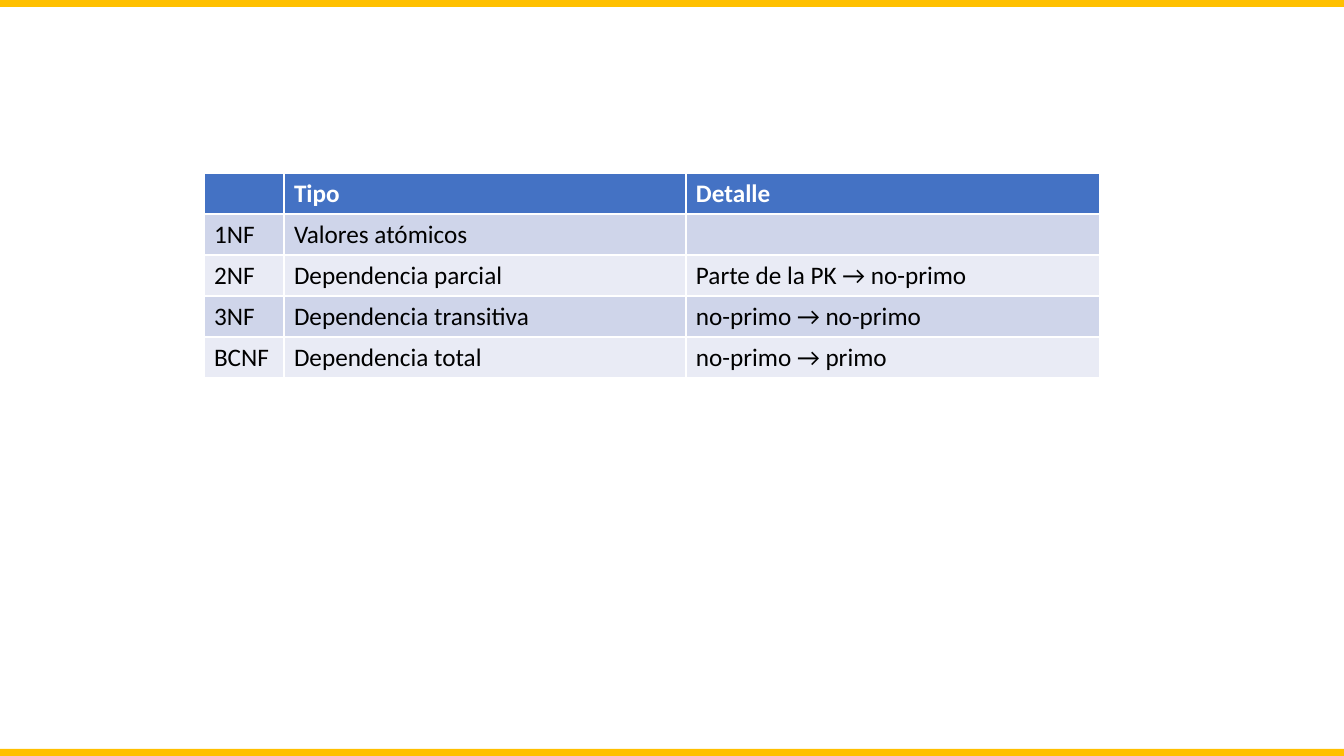
from pptx import Presentation
from pptx.dml.color import RGBColor
from pptx.enum.shapes import MSO_SHAPE
from pptx.util import Emu, Pt

RECTANGLE = MSO_SHAPE.RECTANGLE
GOLD = RGBColor(0xFF, 0xC0, 0x00)
BLUE = RGBColor(0x44, 0x72, 0xC4)
BAND_DARK = RGBColor(0xCF, 0xD5, 0xEA)
BAND_LIGHT = RGBColor(0xE9, 0xEB, 0xF5)
WHITE = RGBColor(0xFF, 0xFF, 0xFF)
BLACK = RGBColor(0x00, 0x00, 0x00)

SLIDE_W, SLIDE_H, BAR_H = 1344, 756, 7
TABLE_X, TABLE_Y, ROW_H = 204, 173, 41
COL_WIDTHS = [80, 402, 414]
ROWS = [
    ["", "Tipo", "Detalle"],
    ["1NF", "Valores atómicos", ""],
    ["2NF", "Dependencia parcial", "Parte de la PK → no-primo"],
    ["3NF", "Dependencia transitiva", "no-primo → no-primo"],
    ["BCNF", "Dependencia total", "no-primo → primo"],
]


def px(n):
    return Emu(round(n * 914400 / 100.8))


def write(cell, text, *, size=18, color=BLACK, bold=False):
    p = cell.text_frame.paragraphs[0]
    p.font.size = Pt(size)
    if text:
        r = p.add_run()
        r.text = text
        r.font.name = "Calibri"
        r.font.size = Pt(size)
        r.font.bold = bold
        r.font.color.rgb = color


prs = Presentation()
prs.slide_width, prs.slide_height = px(SLIDE_W), px(SLIDE_H)
s = prs.slides.add_slide(prs.slide_layouts[6])

for y in (0, SLIDE_H - BAR_H):
    bar = s.shapes.add_shape(RECTANGLE, 0, px(y), px(SLIDE_W), px(BAR_H))
    bar.shadow.inherit = False
    bar.fill.solid()
    bar.fill.fore_color.rgb = GOLD
    bar.line.fill.background()

# The default table style supplies the white grid and the thick header rule.
table = s.shapes.add_table(
    len(ROWS), len(COL_WIDTHS), px(TABLE_X), px(TABLE_Y),
    px(sum(COL_WIDTHS)), px(ROW_H * len(ROWS))).table
for column, width in zip(table.columns, COL_WIDTHS):
    column.width = px(width)

for i, row in enumerate(ROWS):
    table.rows[i].height = px(ROW_H)
    header = i == 0
    fill = BLUE if header else BAND_DARK if i % 2 else BAND_LIGHT
    for j, text in enumerate(row):
        cell = table.cell(i, j)
        cell.fill.solid()
        cell.fill.fore_color.rgb = fill
        write(cell, text, color=WHITE if header else BLACK, bold=header)

prs.save("out.pptx")
